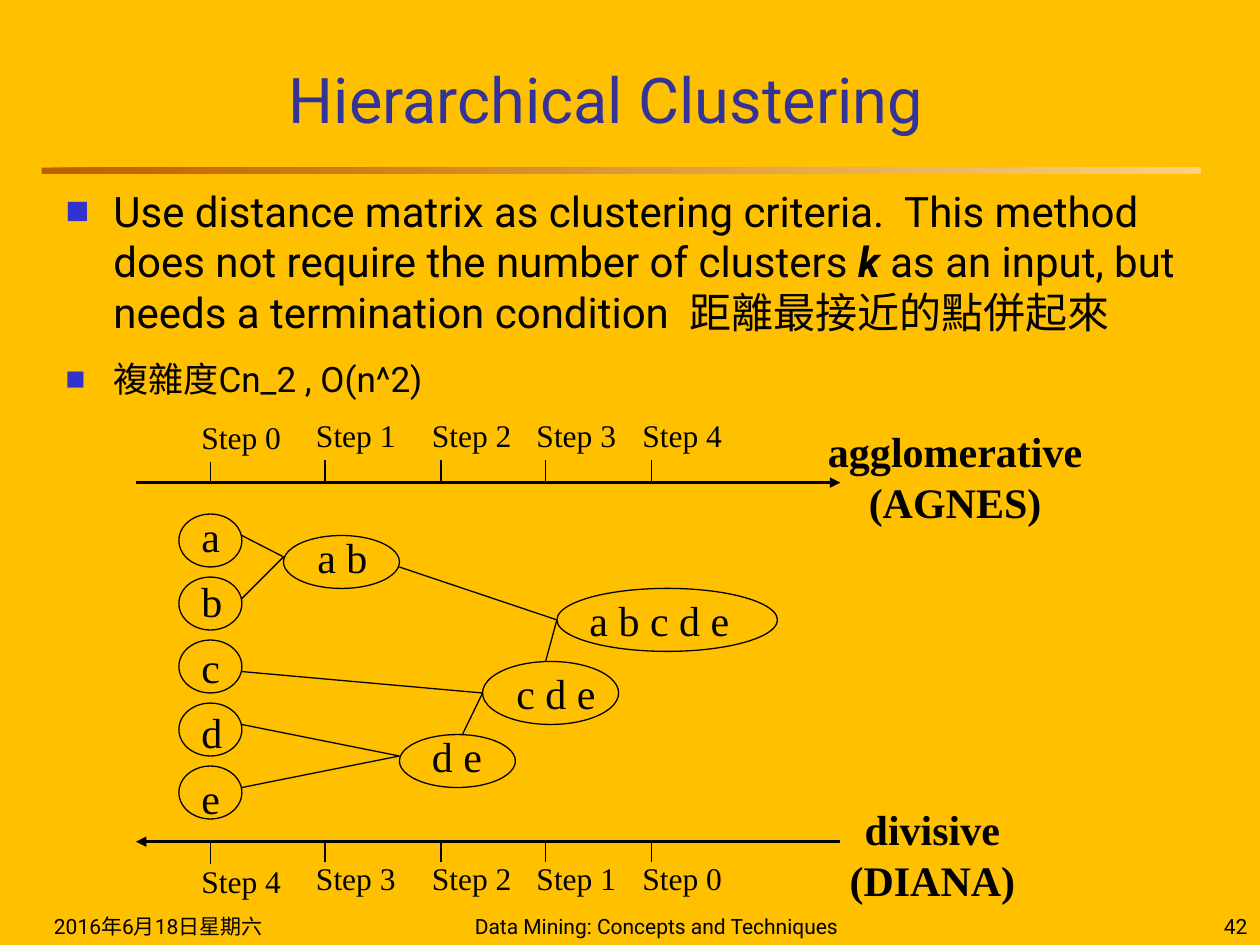
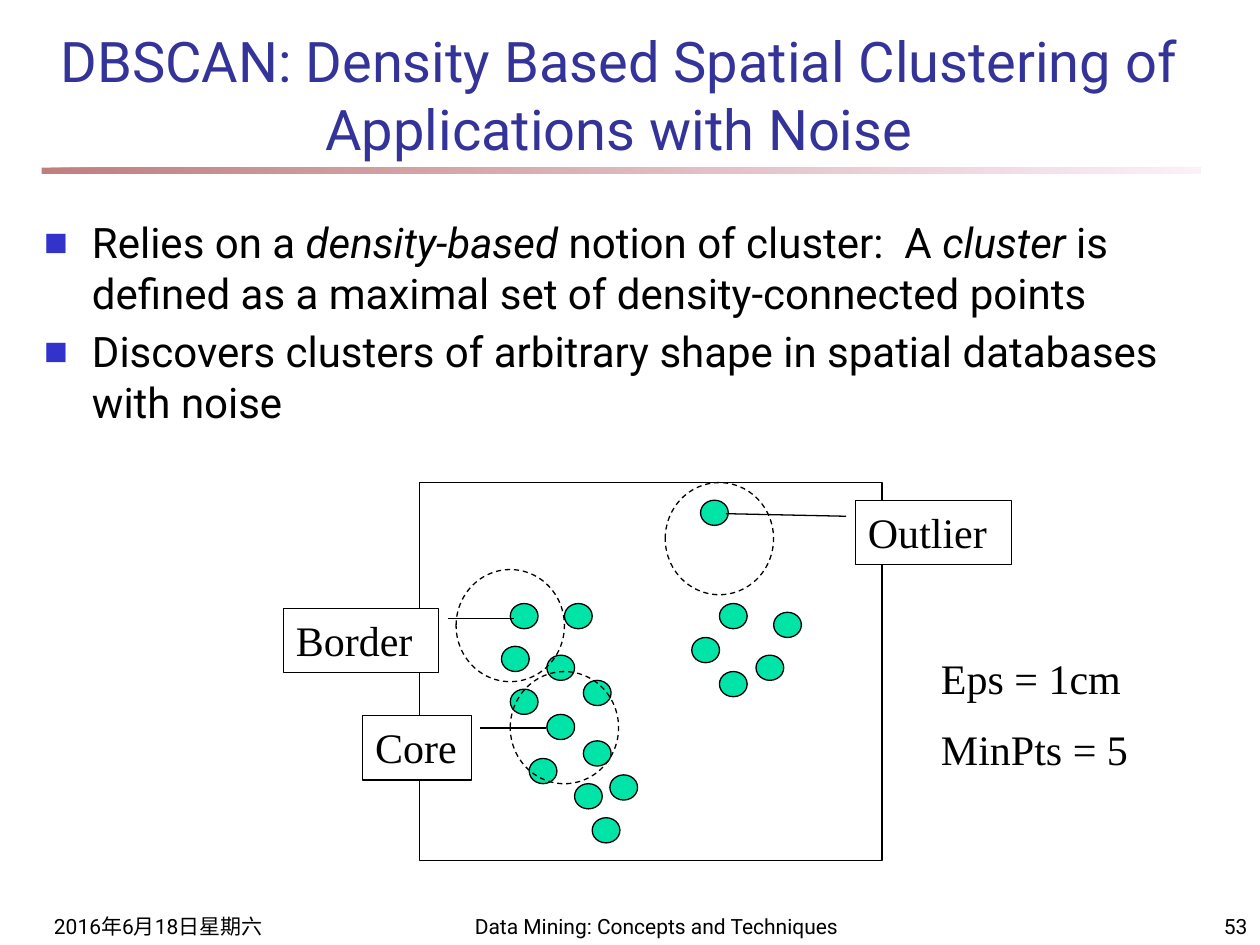
"""Build two slides on clustering: a step tree and a density plot."""
from dataclasses import dataclass

from lxml.etree import SubElement
from pptx import Presentation
from pptx.dml.color import RGBColor
from pptx.enum.dml import MSO_LINE
from pptx.enum.shapes import MSO_CONNECTOR, MSO_SHAPE
from pptx.enum.text import MSO_ANCHOR, MSO_AUTO_SIZE, PP_ALIGN
from pptx.oxml.ns import qn
from pptx.util import Inches, Pt


@dataclass(frozen=True)
class Theme:
    """Colours, fonts and type sizes."""
    sans: str = "Roboto"
    serif: str = "Times New Roman"
    ink: str = "000000"
    paper: str = "FFFFFF"
    gold: str = "FFC000"
    title: str = "333399"
    bullet: str = "3333CC"
    dot: str = "00E4A8"
    band: tuple = ("800000", "FAE2F6")
    head: int = 36
    long_head: int = 32
    body: int = 24
    small: int = 20
    step: int = 18
    foot: int = 12
    thin: float = 0.75
    thick: float = 1.5


class Deck:
    """Holds the theme and the current slide."""

    def __init__(self, theme):
        """Start an empty deck."""
        self.theme = theme
        self.show = Presentation()
        self.show.slide_width, self.show.slide_height = Inches(10), Inches(7.5)

    def start(self, ground, number):
        """Add a slide with its ground, band and footers."""
        theme = self.theme
        self.slide = self.show.slides.add_slide(self.show.slide_layouts[1])
        fill = self.slide.background.fill
        fill.solid()
        fill.fore_color.rgb = RGBColor.from_string(ground)
        band = self.shape(MSO_SHAPE.RECTANGLE, (0.33, 1.33, 9.2, 0.05))
        band.line.fill.background()
        band.fill.gradient()
        band.fill.gradient_angle = 0
        for stop, tint in zip(band.fill.gradient_stops, theme.band):
            stop.color.rgb = RGBColor.from_string(tint)
        for tint in band.element.iter(qn("a:srgbClr")):
            SubElement(tint, qn("a:alpha"), val="50000")
        for left, width, words, align in (
            (0.33, 2.08, "2016年6月18日星期六", PP_ALIGN.LEFT),
            (3.67, 3.17, "Data Mining: Concepts and Techniques", PP_ALIGN.LEFT),
            (7.92, 2.08, number, PP_ALIGN.RIGHT),
        ):
            self.text((left, 7.08, width, 0.42), [words], theme.foot, theme.sans,
                      align=align, anchor=MSO_ANCHOR.BOTTOM)

    def typeset(self, frame, lines, size, face, color=None, align=PP_ALIGN.LEFT,
                anchor=MSO_ANCHOR.TOP, bold=False, gap=0):
        """Fill a text frame with plain lines."""
        frame.word_wrap = True
        frame.auto_size = MSO_AUTO_SIZE.NONE
        frame.vertical_anchor = anchor
        for i, words in enumerate(lines):
            par = frame.add_paragraph() if i else frame.paragraphs[0]
            par.text = words
            par.alignment = align
            par.space_before = Pt(gap if i else 0)
            font = par.font
            font.name, font.size, font.bold = face, Pt(size), bold
            font.color.rgb = RGBColor.from_string(color or self.theme.ink)

    def text(self, at, lines, size, face, wrap=True, **style):
        """Add a text box."""
        frame = self.slide.shapes.add_textbox(*map(Inches, at)).text_frame
        self.typeset(frame, lines, size, face, **style)
        frame.word_wrap = wrap

    def place(self, holder, at):
        """Move a placeholder."""
        holder.left, holder.top, holder.width, holder.height = map(Inches, at)
        return holder.text_frame

    def title(self, at, words, size, anchor):
        """Set the slide title."""
        self.typeset(self.place(self.slide.shapes.title, at), [words], size,
                     self.theme.sans, self.theme.title, PP_ALIGN.CENTER, anchor)

    def body(self, at, items, gap):
        """Set the bullet list from pairs of type size and styled runs."""
        theme = self.theme
        frame = self.place(self.slide.placeholders[1], at)
        self.typeset(frame, [""] * len(items), theme.body, theme.sans, gap=gap)
        for par, (size, runs) in zip(frame.paragraphs, items):
            par.font.size = Pt(size)
            for words, style in runs:
                run = par.add_run()
                run.text = words
                if style:
                    run.font.bold = "b" in style
                    run.font.italic = "i" in style
            self.mark(par)

    def mark(self, par):
        """Give a paragraph a square bullet and a hanging indent."""
        props = par._p.get_or_add_pPr()
        props.set("marL", str(Inches(0.38)))
        props.set("indent", str(Inches(-0.38)))
        color = props.makeelement(qn("a:buClr"))
        SubElement(color, qn("a:srgbClr"), val=self.theme.bullet)
        marks = [color, props.makeelement(qn("a:buSzPct"), val="60000"),
                 props.makeelement(qn("a:buFont"), typeface=self.theme.sans),
                 props.makeelement(qn("a:buChar"), char="■")]
        spot = list(props).index(props.find(qn("a:spcBef"))) + 1
        props[spot:spot] = marks

    def shape(self, kind, at, fill=None, dash=False):
        """Add a thin-lined shape, hollow unless a fill is given."""
        shape = self.slide.shapes.add_shape(kind, *map(Inches, at))
        shape.shadow.inherit = False
        if fill:
            shape.fill.solid()
            shape.fill.fore_color.rgb = RGBColor.from_string(fill)
        else:
            shape.fill.background()
        shape.line.color.rgb = RGBColor.from_string(self.theme.ink)
        shape.line.width = Pt(self.theme.thin)
        if dash:
            shape.line.dash_style = MSO_LINE.DASH
        return shape

    def line(self, x1, y1, x2, y2, arrow=None):
        """Add a line; an arrow end makes it thick."""
        line = self.slide.shapes.add_connector(
            MSO_CONNECTOR.STRAIGHT, *map(Inches, (x1, y1, x2, y2)))
        line.line.color.rgb = RGBColor.from_string(self.theme.ink)
        line.line.width = Pt(self.theme.thick if arrow else self.theme.thin)
        props = line.element.spPr
        if arrow:
            SubElement(props.find(qn("a:ln")), qn(arrow), type="triangle")
        SubElement(props, qn("a:effectLst"))

    def scale(self, axis, ticks, label, order, arrow):
        """Draw a step axis with ticks and labels."""
        self.line(1.08, axis, 6.67, axis, arrow)
        for i, (x, step) in enumerate(zip((1.67, 2.58, 3.5, 4.33, 5.17), order)):
            drop = 0 if i else 0.02
            self.line(x, ticks + drop, x, ticks + drop + 0.17)
            self.text((x - 0.17, label + drop, 0.83, 0.4), [f"Step {step}"],
                      self.theme.step, self.theme.serif)

    def node(self, words, at, label):
        """Draw a cluster oval and its label."""
        self.text((*label, 0.23 + 0.12 * len(words), 0.5), [words],
                  self.theme.body, self.theme.serif, wrap=False)
        self.shape(MSO_SHAPE.OVAL, at)

    def callout(self, words, at, bends):
        """Add a boxed label with a leader line."""
        box = self.shape(MSO_SHAPE.LINE_CALLOUT_1, at, self.theme.paper)
        for i, bend in enumerate(bends):
            box.adjustments[i] = bend
        self.typeset(box.text_frame, [words], self.theme.body, self.theme.serif)


def tree(deck):
    """Build the step tree slide."""
    theme = deck.theme
    deck.start(theme.gold, "42")
    deck.title((0.82, 0.54, 7.98, 0.48), "Hierarchical Clustering",
               theme.head, MSO_ANCHOR.MIDDLE)
    deck.body((0.42, 1.42, 9.08, 5.67), [
        (theme.body, [
            ("Use distance matrix as clustering criteria.  This method does not "
             "require the number of clusters ", ""), ("k", "bi"),
            (" as an input, but needs a termination condition  距離最接近的點併起來", "")]),
        (theme.small, [("複雜度Cn_2 , O(n^2)", "")]),
    ], theme.body / 2)
    deck.scale(3.83, 3.65, 3.25, range(5), "a:tailEnd")
    deck.scale(6.68, 6.67, 6.77, range(4, -1, -1), "a:headEnd")
    for i, leaf in enumerate("abcde"):
        deck.node(leaf, (1.42, 4.08 + 0.5 * i, 0.5, 0.42), (1.5, 4 + 0.52 * i))
    for words, at, label in (
        ("a b", (2.25, 4.25, 0.92, 0.42), (2.42, 4.17)),
        ("d e", (3.17, 5.83, 0.92, 0.42), (3.33, 5.75)),
        ("c d e", (3.83, 5.25, 1.08, 0.5), (4, 5.25)),
        ("a b c d e", (4.42, 4.67, 1.75, 0.5), (4.58, 4.67)),
    ):
        deck.node(words, at, label)
    for goal, roots in (
        ((2.25, 4.42), ((1.92, 4.25), (1.92, 4.75))),
        ((3.17, 6), ((1.92, 5.75), (1.92, 6.25))),
        ((3.83, 5.5), ((1.92, 5.33), (3.67, 5.83))),
        ((4.42, 4.92), ((3.17, 4.5), (4.33, 5.25))),
    ):
        for root in roots:
            deck.line(*root, *goal)
    for at, lines in (
        ((6.47, 3.33, 2.22, 0.9), ["agglomerative", "(AGNES)"]),
        ((6.64, 6.33, 1.52, 0.9), ["divisive", "(DIANA)"]),
    ):
        deck.text(at, lines, theme.body, theme.serif, wrap=False,
                  align=PP_ALIGN.CENTER, bold=True)


def density(deck):
    """Build the density plot slide."""
    theme = deck.theme
    deck.start(theme.paper, "53")
    deck.title((0.25, 0.25, 9.33, 1.08),
               "DBSCAN: Density Based Spatial Clustering of Applications with Noise",
               theme.long_head, MSO_ANCHOR.BOTTOM)
    deck.body((0.25, 1.67, 9.33, 5.5), [
        (theme.body, [
            ("Relies on a ", ""), ("density-based", "i"),
            (" notion of cluster:  A ", ""), ("cluster", "i"),
            (" is defined as a maximal set of density-connected points", "")]),
        (theme.body, [("Discovers clusters of arbitrary shape in spatial "
                       "databases with noise", "")]),
    ], theme.body / 5)
    for spot in (
        (4.05, 4.79), (3.98, 5.13), (4.34, 5.2), (4.48, 4.79), (4.63, 5.4),
        (4.05, 5.47), (4.34, 5.67), (4.2, 6.02), (4.56, 6.22), (4.7, 6.49),
        (4.63, 5.88), (4.84, 6.15), (5.56, 3.97), (5.71, 4.79), (5.49, 5.06),
        (6, 5.2), (6.14, 4.86), (5.71, 5.33),
    ):
        deck.shape(MSO_SHAPE.OVAL, (*spot, 0.22, 0.2), theme.dot)
    deck.shape(MSO_SHAPE.RECTANGLE, (3.33, 3.83, 3.67, 3))
    for spot in ((3.62, 4.52), (4.05, 5.33), (5.28, 3.83)):
        deck.shape(MSO_SHAPE.OVAL, (*spot, 0.86, 0.89), dash=True)
    deck.callout("Core", (2.88, 5.68, 0.86, 0.51), (0.19, 1.08, 0.19, 1.69))
    deck.callout("Border", (2.25, 4.83, 1.23, 0.51), (0.15, 1.06, 0.15, 1.49))
    deck.callout("Outlier", (6.79, 3.97, 1.24, 0.51), (0.25, -0.06, 0.21, -0.83))
    deck.text((7.37, 5.13, 1.8, 1.1), ["Eps = 1cm", "MinPts = 5"],
              theme.body, theme.serif, gap=theme.body / 2)


def main():
    """Build and save the deck."""
    deck = Deck(Theme())
    tree(deck)
    density(deck)
    deck.show.save("out.pptx")


if __name__ == "__main__":
    main()
